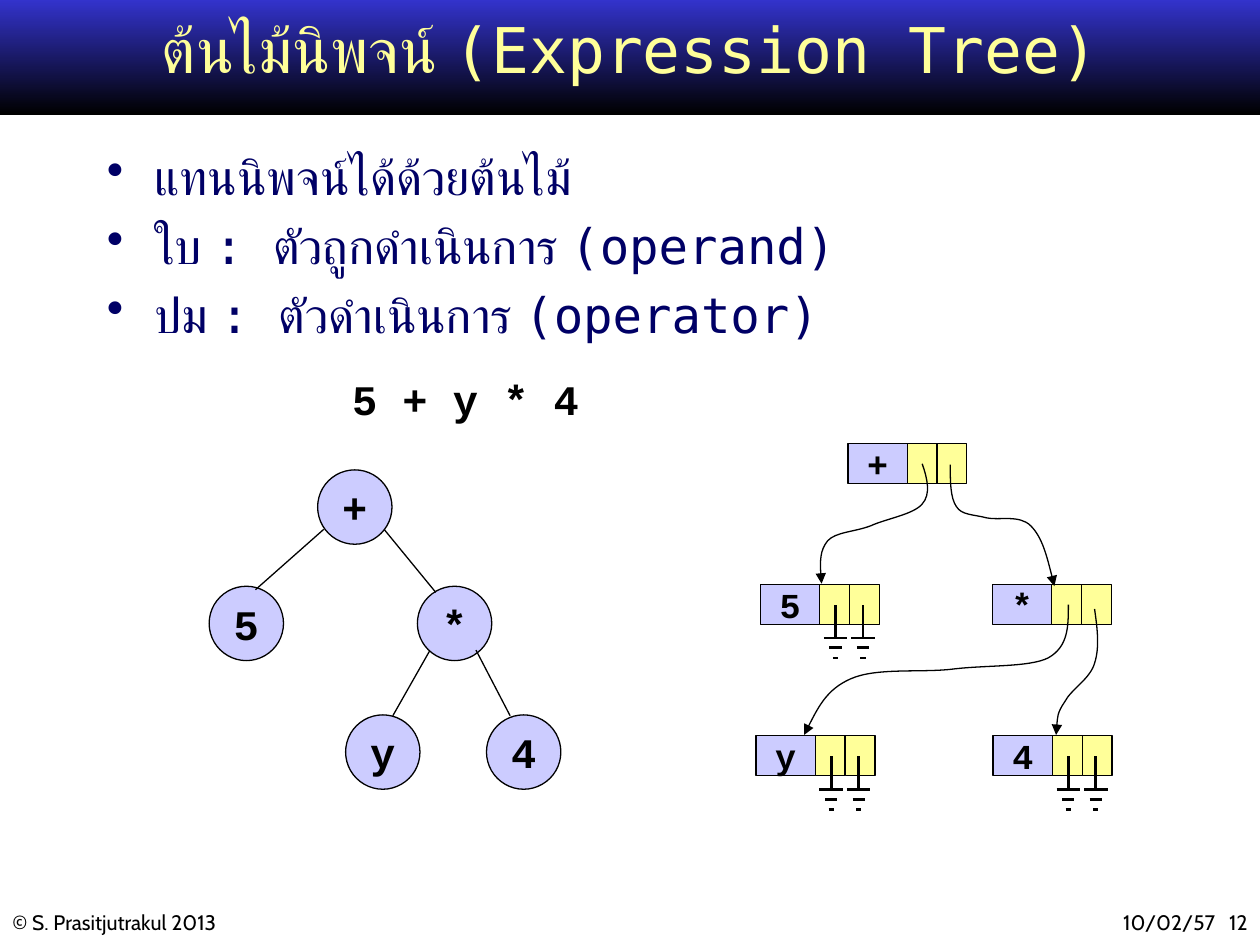
from lxml import etree
from pptx import Presentation
from pptx.dml.color import RGBColor
from pptx.enum import shapes as kinds, text as t
from pptx.oxml import ns
from pptx.util import Pt

BLACK, LILAC, YELLOW, NAVY = "000000", "CCCCFF", "FFFF99", "000066"
MONO, CODE, SMALL = "DejaVu Sans Mono", "Courier New", "Cabin"
LEFT, CENTER, RIGHT = t.PP_ALIGN.LEFT, t.PP_ALIGN.CENTER, t.PP_ALIGN.RIGHT

DIAMETER = 42.5
TREE_NODES = [("+", 62, 0), ("5", 0, 66.5), ("*", 119, 66.5),
              ("y", 78, 140), ("4", 158.5, 140)]
TREE_EDGES = [(26.5, 68.5, 65.5, 34), (100, 34, 129.5, 70),
              (126, 103.5, 105, 140.5), (152.5, 103, 172, 140.5)]

DATA_WIDTH, POINTER_WIDTH, RECORD_HEIGHT = 34, 17, 22.8
RECORDS = [("+", 52.5, 0, False), ("5", 2.5, 80.5, True), ("*", 135, 80.5, False),
           ("y", 0, 167, True), ("4", 135.5, 167, True)]
# Each pointer is a start point followed by triples of Bezier points.
POINTERS = [
    [(95, 11.5), (98, 20), (100, 29), (95, 34.5), (90, 40.5), (74, 43), (65.5, 47),
     (56, 50.5), (45.5, 50.5), (41, 55.5), (36.5, 61), (36.5, 70.5), (37.5, 80)],
    [(111, 12), (111, 21.5), (111, 31), (114.5, 36), (117.5, 41), (124.5, 40.5),
     (132, 42.5), (139, 44), (150.5, 40.5), (157, 47), (163.5, 53.5), (167, 67),
     (170.5, 81.5)],
    [(178.5, 92), (178.5, 104.5), (178.5, 116), (167, 122.5), (156, 128),
     (131, 126.5), (111.5, 129), (93, 131), (68.5, 128), (54, 134.5),
     (40.5, 140.5), (34, 153.5), (27.5, 166.5)],
    [(193.5, 94.5), (195, 105), (196.5, 116.5), (193.5, 125.5), (191, 134.5),
     (180, 140.5), (176.5, 147.5), (172, 154), (172, 160.5), (171.5, 166.5)],
]


def color(hex_value):
    return RGBColor.from_string(hex_value)


def format_text(frame, font, size, hex_value, align, bold=False):
    for paragraph in frame.paragraphs:
        paragraph.alignment = align
        for run in paragraph.runs:
            run.font.name, run.font.size, run.font.bold = font, Pt(size), bold
            run.font.color.rgb = color(hex_value)


def add_label(slide, content, box, *style, **options):
    label = slide.shapes.add_textbox(*map(Pt, box))
    label.text_frame.word_wrap = True
    label.text_frame.text = content
    format_text(label.text_frame, *style, **options)
    return label


def add_cell(slide, kind, box, fill, content="", size=20):
    cell = slide.shapes.add_shape(kind, *map(Pt, box))
    cell.shadow.inherit = False
    cell.fill.solid()
    cell.fill.fore_color.rgb = color(fill)
    cell.line.color.rgb = color(BLACK)
    cell.line.width = Pt(0.75)
    if content:
        frame = cell.text_frame
        frame.text, frame.word_wrap = content, False
        frame.vertical_anchor = t.MSO_ANCHOR.MIDDLE
        format_text(frame, CODE, size, BLACK, CENTER, bold=True)


def add_line(slide, ends, width):
    line = slide.shapes.add_connector(kinds.MSO_CONNECTOR.STRAIGHT, *map(Pt, ends))
    line.line.color.rgb = color(BLACK)
    line.line.width = Pt(width)
    etree.SubElement(line._element.spPr, ns.qn("a:effectLst"))


def add_curved_arrow(slide, points):
    builder = slide.shapes.build_freeform(*map(Pt, points[0]))
    builder.add_line_segments([(Pt(x), Pt(y)) for x, y in points[1:]], close=False)
    arrow = builder.convert_to_shape()
    arrow.shadow.inherit = False
    arrow.fill.background()
    arrow.line.color.rgb = color(BLACK)
    arrow.line.width = Pt(0.75)
    etree.SubElement(arrow.line._get_or_add_ln(), ns.qn("a:tailEnd"), type="triangle")
    segments = list(arrow._element.iter(ns.qn("a:lnTo")))
    for i in range(0, len(segments), 3):
        curve = etree.Element(ns.qn("a:cubicBezTo"))
        segments[i].addprevious(curve)
        for segment in segments[i:i + 3]:
            curve.append(segment[0])
            segment.getparent().remove(segment)


def add_header(slide, left, top, width, height):
    band = slide.shapes.add_shape(kinds.MSO_SHAPE.RECTANGLE,
                                  *map(Pt, (left, top, width, height)))
    band.shadow.inherit = False
    band.line.fill.background()
    band.fill.gradient()
    band.fill.gradient_angle = 270
    for stop, hex_value in zip(band.fill.gradient_stops, ("3333CC", BLACK)):
        stop.color.rgb = color(hex_value)
    slide.shapes._spTree.insert(2, band._element)  # behind the title

    title = slide.shapes.title
    title.left, title.top = Pt(left + 54), Pt(top + 6)
    title.width, title.height = Pt(width - 108), Pt(51)
    frame = title.text_frame
    frame.text = "ต้นไม้นิพจน์ (Expression Tree)"
    frame.vertical_anchor = t.MSO_ANCHOR.MIDDLE
    frame.paragraphs[0].line_spacing = 0.8
    format_text(frame, MONO, 36, YELLOW, CENTER)


def add_bullets(slide, box):
    lines = ["แทนนิพจน์ได้ด้วยต้นไม้", "ใบ : ตัวถูกดำเนินการ (operand)",
             "ปม : ตัวดำเนินการ (operator)"]
    bullets = add_label(slide, "\n".join(lines), box, MONO, 28, NAVY, LEFT)
    for paragraph in bullets.text_frame.paragraphs:
        paragraph.space_before = Pt(6)
        props = paragraph._p.get_or_add_pPr()
        props.set("marL", str(Pt(27)))
        props.set("indent", str(-Pt(27)))
        etree.SubElement(props, ns.qn("a:buChar"), char="•")


def add_tree(slide, left, top):
    for symbol, x, y in TREE_NODES:
        add_cell(slide, kinds.MSO_SHAPE.OVAL,
                 (left + x, top + y, DIAMETER, DIAMETER), LILAC, symbol, 24)
    for x1, y1, x2, y2 in TREE_EDGES:
        add_line(slide, (left + x1, top + y1, left + x2, top + y2), 0.75)


def add_null_pointer(slide, x, top):
    """Draw a ground symbol whose stem starts at the given point."""
    for drop, half in ((19, 6.7), (24.7, 3.5), (30.5, 1.5)):
        add_line(slide, (x - half, top + drop, x + half, top + drop), 1.5)
    add_line(slide, (x, top + 19, x, top), 1.5)


def add_linked_records(slide, left, top):
    for symbol, x, y, is_leaf in RECORDS:
        x, y = left + x, top + y
        add_cell(slide, kinds.MSO_SHAPE.RECTANGLE,
                 (x, y, DATA_WIDTH, RECORD_HEIGHT), LILAC, symbol)
        for i in range(2):
            pointer_x = x + DATA_WIDTH + i * POINTER_WIDTH
            add_cell(slide, kinds.MSO_SHAPE.RECTANGLE,
                     (pointer_x, y, POINTER_WIDTH, RECORD_HEIGHT), YELLOW)
    for points in POINTERS:
        add_curved_arrow(slide, [(left + x, top + y) for x, y in points])
    for symbol, x, y, is_leaf in RECORDS:
        if is_leaf:
            for stem in (43, 58.7):
                add_null_pointer(slide, left + x + stem, top + y + 11.5)


def add_footer(slide, top, width, height):
    add_label(slide, "© S. Prasitjutrakul 2013", (0, top, 234, height),
              SMALL, 12, BLACK, LEFT)
    add_label(slide, "10/02/57", (width - 156, top, 137.5, height),
              SMALL, 12, BLACK, RIGHT)
    add_label(slide, "12", (width - 36, top, 36, height), SMALL, 12, BLACK, RIGHT)


def main():
    deck = Presentation()
    deck.slide_width, deck.slide_height = Pt(720), Pt(540)
    slide = deck.slides.add_slide(deck.slide_layouts[5])
    add_header(slide, 0, 0, 720, 65.5)
    add_footer(slide, 516, 720, 22)
    add_bullets(slide, (54, 80, 612, 140))
    add_label(slide, "5 + y * 4", (188, 210, 156, 36), CODE, 24, BLACK, CENTER, bold=True)
    add_tree(slide, 119.5, 268.5)
    add_linked_records(slide, 432, 253.5)
    deck.save("out.pptx")


if __name__ == "__main__":
    main()
